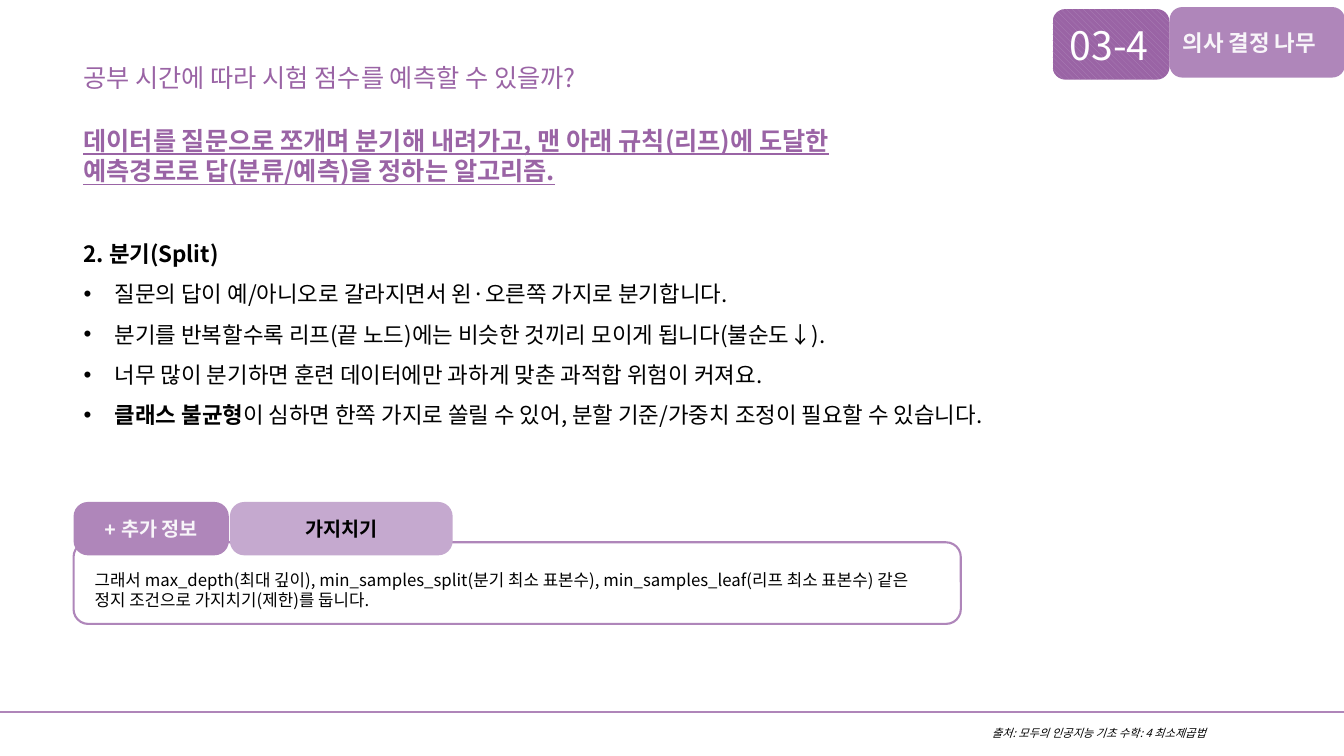
import pptx
import pptx.util
import pptx.dml.color
import pptx.enum.dml
import pptx.enum.shapes
import pptx.enum.text
import pptx.oxml.ns
import lxml.etree

PX = 9144  # 100 px to the inch
WIDE, HIGH = 1333, 750
NOTO = "Noto Sans CJK KR"
HEX = {"plum": "9A64A5", "mauve": "AF86BA", "rule": "AF85B9", "lilac": "C5A9CF",
       "pale": "F8F5F9", "white": "FFFFFF", "black": "000000"}
KIND = pptx.enum.shapes.MSO_SHAPE.ROUNDED_RECTANGLE


def emu(*vals):
    return [val * PX for val in vals]


def tint(name):
    return pptx.dml.color.RGBColor.from_string(HEX[name])


def node(root, tag, **attrs):
    return lxml.etree.SubElement(root, pptx.oxml.ns.qn(tag), **attrs)


def put(obj, vals):
    for name, val in vals.items():
        setattr(obj, name, val)


def add_run(para, text, size, color, face=NOTO, **form):
    run = para.add_run()
    run.text = text
    put(run.font, {"size": pptx.util.Pt(size), "name": face, **form})
    run.font.color.rgb = tint(color)
    node(run._r.get_or_add_rPr(), "a:ea", typeface=NOTO)


def add_text(slide, box):
    frame = slide.shapes.add_textbox(*emu(*box)).text_frame
    put(frame, {"word_wrap": True,
                "auto_size": pptx.enum.text.MSO_AUTO_SIZE.SHAPE_TO_FIT_TEXT})
    return frame


def add_card(slide, box, curve, fill, edge=None):
    card = slide.shapes.add_shape(KIND, *emu(*box))
    card.shadow.inherit = False
    card.adjustments[0] = curve
    card.fill.solid()
    card.fill.fore_color.rgb = tint(fill)
    if edge:
        card.line.color.rgb = tint(edge)
        card.line.width = pptx.util.Pt(1.5)
    else:
        card.line.fill.background()
    return card


# Question and its short answer
def add_lead(slide, x, y, w):
    para = add_text(slide, (x, y, w, 94)).paragraphs[0]
    para.line_spacing = 1.5
    add_run(para, "공부 시간에 따라 시험 점수를 예측할 수 있을까?", 18, "plum")
    para = add_text(slide, (x, y + 77, w, 71)).paragraphs[0]
    add_run(para, "데이터를 질문으로 쪼개며 분기해 내려가고, 맨 아래 규칙(리프)에 도달한 "
            "예측경로로 답(분류/예측)을 정하는 알고리즘.", 18, "plum",
            bold=True, underline=True)


# Heading with bullets; each bullet has a bold part and a plain part
def add_body(slide, box, head, items):
    frame = add_text(slide, box)
    para = frame.paragraphs[0]
    para.line_spacing = 1.5
    add_run(para, head, 16, "black", bold=True)
    for key, rest in items:
        para = frame.add_paragraph()
        para.line_spacing = 1.5
        props = para._p.get_or_add_pPr()
        put_in = {"marL": str(31 * PX), "indent": str(-31 * PX)}
        for name, val in put_in.items():
            props.set(name, val)
        node(props, "a:buFont", typeface="Arial")
        node(props, "a:buChar", char="•")
        if key:
            add_run(para, key, 16, "black", bold=True)
        add_run(para, rest, 16, "black")


# Rule and source line
def add_foot(slide, y):
    rule = slide.shapes.add_connector(
        pptx.enum.shapes.MSO_CONNECTOR.STRAIGHT, *emu(0, y, WIDE, y))
    rule.line.color.rgb = tint("rule")
    rule.line.width = pptx.util.Pt(1.5)
    node(rule._element.spPr, "a:effectLst")
    para = add_text(slide, (974, y + 10, 360, 24)).paragraphs[0]
    add_run(para, "출처: 모두의 인공지능 기초 수학: 4 최소제곱법", 8, "black", italic=True)


# Chapter number and title at the top right
def add_badge(slide, x, y):
    num = add_card(slide, (x, y + 2, 116, 70), 0.18, "plum")
    num.fill.patterned()
    num.fill.pattern = pptx.enum.dml.MSO_PATTERN.WIDE_DOWNWARD_DIAGONAL
    num.fill.fore_color.rgb = tint("mauve")
    num.fill.back_color.rgb = tint("plum")
    add_card(slide, (x + 116, y, 174, 70), 0.18, "mauve")
    para = add_text(slide, (x + 7, y + 9, 109, 57)).paragraphs[0]
    add_run(para, "03-4", 28, "white")
    para = add_text(slide, (x + 119, y + 17, 189, 37)).paragraphs[0]
    add_run(para, "의사 결정 나무", 16, "pale", bold=True)


# Extra note: framed text under two tabs
def add_note(slide, x, y, w):
    add_card(slide, (x, y + 40, w, 81), 0.18, "white", "mauve")
    tabs = [(0, 154, "mauve", "+ 추가 정보", "pale"),
            (155, 221, "lilac", "가지치기", "black")]
    for dx, wide, fill, text, ink in tabs:
        frame = add_card(slide, (x + dx, y, wide, 53), 0.27, fill).text_frame
        frame.vertical_anchor = pptx.enum.text.MSO_ANCHOR.MIDDLE
        para = frame.paragraphs[0]
        para.alignment = pptx.enum.text.PP_ALIGN.CENTER
        add_run(para, text, 14, ink, "Arial", bold=True)
    para = add_text(slide, (x + 11, y + 62, w - 25, 50)).paragraphs[0]
    add_run(para, "그래서 max_depth(최대 깊이), min_samples_split(분기 최소 표본수), "
            "min_samples_leaf(리프 최소 표본수) 같은 정지 조건으로 가지치기(제한)를 둡니다.",
            12, "black")


def main():
    deck = pptx.Presentation()
    put(deck, {"slide_width": WIDE * PX, "slide_height": HIGH * PX})
    slide = deck.slides.add_slide(deck.slide_layouts[6])
    add_lead(slide, 73, 42, 850)
    add_body(slide, (73, 220, 939, 247), "2. 분기(Split)", [
        ("", "질문의 답이 예/아니오로 갈라지면서 왼·오른쪽 가지로 분기합니다."),
        ("", "분기를 반복할수록 리프(끝 노드)에는 비슷한 것끼리 모이게 됩니다(불순도↓)."),
        ("", "너무 많이 분기하면 훈련 데이터에만 과하게 맞춘 과적합 위험이 커져요."),
        ("클래스 불균형", "이 심하면 한쪽 가지로 쏠릴 수 있어, 분할 기준/가중치 조정이 "
         "필요할 수 있습니다."),
    ])
    add_foot(slide, 706)
    add_badge(slide, 1044, 7)
    add_note(slide, 73, 498, 880)
    deck.save("out.pptx")


if __name__ == "__main__":
    main()
